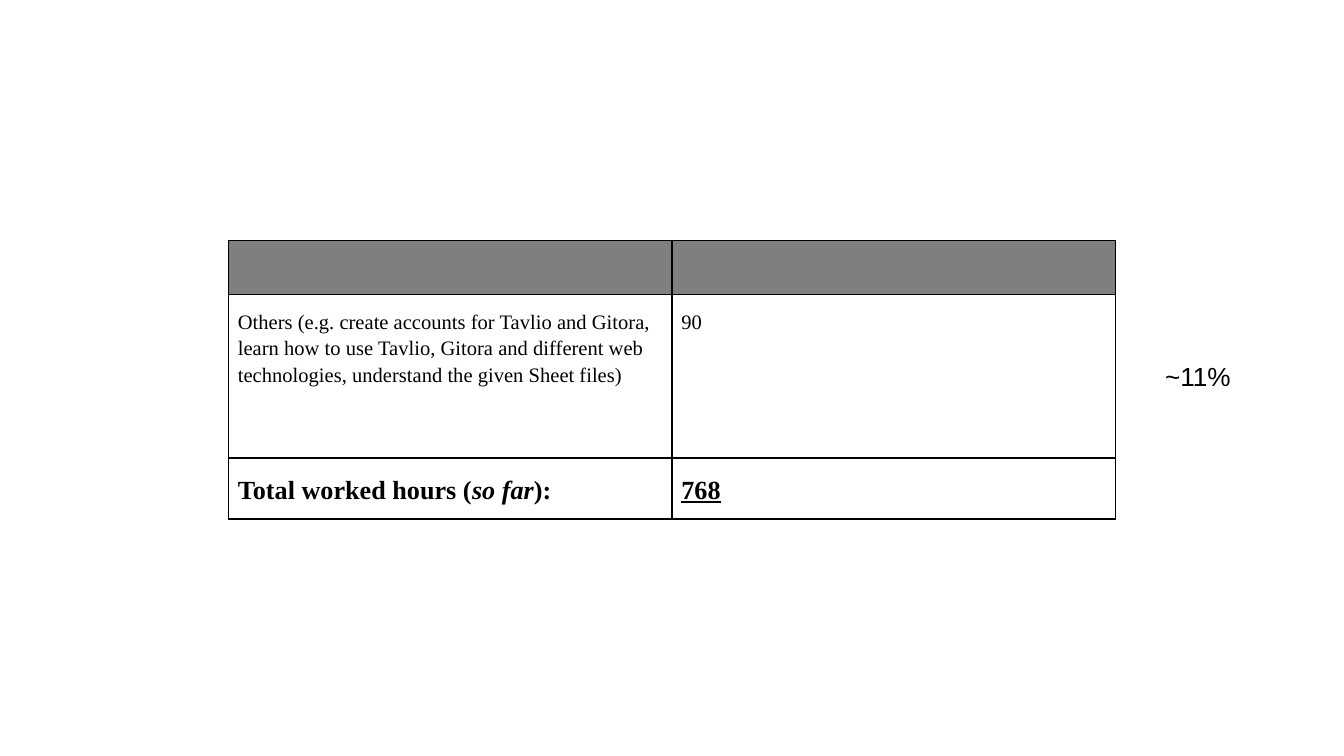
from lxml.etree import SubElement
from pptx import Presentation
from pptx.dml.color import RGBColor
from pptx.oxml.ns import qn
from pptx.util import Inches, Pt

BLACK = RGBColor(0x00, 0x00, 0x00)
WHITE = RGBColor(0xFF, 0xFF, 0xFF)
GRAY = RGBColor(0x7F, 0x7F, 0x7F)

SLIDE_WIDTH = 10
SLIDE_HEIGHT = SLIDE_WIDTH * 9 / 16
ROW_HEIGHTS = (0.4, 1.22, 0.45)
TASK = ("Others (e.g. create accounts for Tavlio and Gitora, learn how to use "
        "Tavlio, Gitora and different web technologies, understand the given "
        "Sheet files)")
# Each cell is a list of runs: text and the font attributes to switch on
ROWS = (
    (11, ([(TASK, ())], [("90", ())])),
    (14, ([("Total worked hours (", ("bold",)),
           ("so far", ("bold", "italic")),
           ("):", ("bold",))],
          [("768", ("bold", "underline"))])),
)


def set_borders(cell):
    tc_pr = cell._tc.get_or_add_tcPr()
    for side in ("lnL", "lnR", "lnT", "lnB"):
        ln = SubElement(tc_pr, qn(f"a:{side}"), w=str(Pt(1)))
        fill = SubElement(ln, qn("a:solidFill"))
        SubElement(fill, qn("a:srgbClr"), val=str(BLACK))


def format_cell(cell, color, margin_x, margin_y):
    set_borders(cell)
    cell.fill.solid()
    cell.fill.fore_color.rgb = color
    cell.margin_left = cell.margin_right = Inches(margin_x)
    cell.margin_top = cell.margin_bottom = Inches(margin_y)


def fill_cell(cell, runs, size):
    p = cell.text_frame.paragraphs[0]
    p.line_spacing = 1.15
    for text, styles in runs:
        r = p.add_run()
        r.text = text
        r.font.name = "Times New Roman"
        r.font.size = Pt(size)
        r.font.color.rgb = BLACK
        for style in styles:
            setattr(r.font, style, True)


def add_hours_table(slide, left, top, width):
    frame = slide.shapes.add_table(
        len(ROW_HEIGHTS), 2, Inches(left), Inches(top),
        Inches(width), Inches(sum(ROW_HEIGHTS)))
    table = frame.table
    table.first_row = table.horz_banding = False
    for column in table.columns:
        column.width = Inches(width / 2)
    for row, height in zip(table.rows, ROW_HEIGHTS):
        row.height = Inches(height)

    # Empty header band
    for cell in table.rows[0].cells:
        format_cell(cell, GRAY, 0.07, 0)

    # Hours and total
    for i, (size, texts) in enumerate(ROWS, start=1):
        for cell, runs in zip(table.rows[i].cells, texts):
            format_cell(cell, WHITE, 0.07, 0.1)
            fill_cell(cell, runs, size)


def add_share_label(slide, left, top, width, height):
    box = slide.shapes.add_textbox(
        Inches(left), Inches(top), Inches(width), Inches(height))
    tf = box.text_frame
    tf.word_wrap = True
    tf.margin_left = tf.margin_right = Inches(0.1)
    tf.margin_top = tf.margin_bottom = Inches(0.1)
    tf.text = "~11%"
    font = tf.paragraphs[0].runs[0].font
    font.name = "Arial"
    font.size = Pt(14)
    font.color.rgb = BLACK


def main():
    prs = Presentation()
    prs.slide_width = Inches(SLIDE_WIDTH)
    prs.slide_height = Inches(SLIDE_HEIGHT)
    slide = prs.slides.add_slide(prs.slide_layouts[6])
    add_hours_table(slide, 1.7, 1.79, 6.6)
    add_share_label(slide, 8.57, 2.58, 1.18, 0.84)
    prs.save("out.pptx")


if __name__ == "__main__":
    main()
